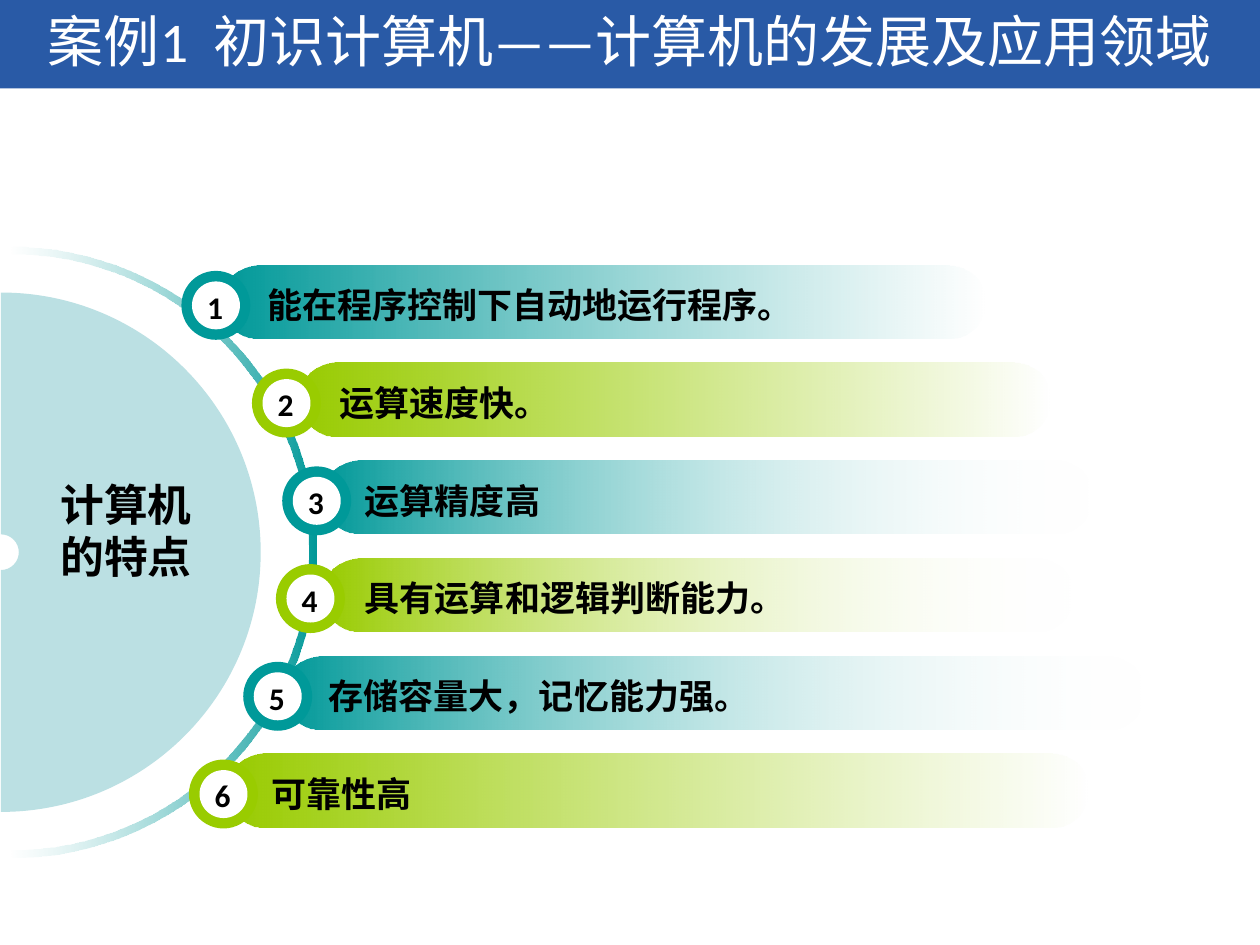
import math

from lxml import etree
from pptx import Presentation
from pptx.dml.color import RGBColor
from pptx.enum import shapes, text
from pptx.oxml import ns
from pptx.util import Pt

TEAL, LIME, WHITE, BLACK = "009999", "99CC00", "FFFFFF", "000000"
LATIN, CHINESE, SERIF = "Calibri", "Noto Sans CJK SC", "Times New Roman"
OVAL, RECTANGLE = shapes.MSO_SHAPE.OVAL, shapes.MSO_SHAPE.RECTANGLE

# statement, badge left, bar left, bar width, text left, bar end colour
FEATURES = [
    ("能在程序控制下自动地运行程序。", 103.7, 126.7, 436.3, 145.6, "46B5B5"),
    ("运算速度快。", 144, 171.4, 429.1, 187, "9CCE08"),
    ("运算精度高", 161.3, 184.3, 439.9, 201.4, WHITE),
    ("具有运算和逻辑判断能力。", 157.7, 184.3, 429.1, 201.4, WHITE),
    ("存储容量大，记忆能力强。", 139, 162, 491.8, 180.7, WHITE),
    ("可靠性高", 108, 130.3, 491.8, 148.1, "B2D83E"),
]
FIRST_TOP, ROW_PITCH, BAR_HEIGHT = 151.6, 55.85, 41.8
BADGE, BADGE_HOLE = 39.4, 27.4


def rgb(value):
    return RGBColor.from_string(value)


def add_alpha(color_element, opacity):
    etree.SubElement(color_element, ns.qn("a:alpha"), val=str(opacity * 1000))


def right_half_circle(center, radius):
    """Start point and two Bezier quarters, from the top round to the bottom."""
    handle = radius * 4 / 3 * (math.sqrt(2) - 1)
    near, far = center + handle, center + radius
    top, bottom = center - radius, center + radius
    return [(center, top), (near, top), (far, center - handle), (far, center),
            (far, near), (near, bottom), (center, bottom)]


class Deck:
    def __init__(self):
        self.presentation = Presentation()
        self.presentation.slide_width = Pt(720)
        self.presentation.slide_height = Pt(540)
        self.slide = self.presentation.slides.add_slide(
            self.presentation.slide_layouts[6])

    def paint(self, shape, color):
        shape.shadow.inherit = False
        shape.line.fill.background()
        shape.fill.solid()
        shape.fill.fore_color.rgb = rgb(color)

    def fade(self, shape, stops):
        """Fill from left to right with (position, colour, opacity) in percent."""
        shape.fill.gradient()
        shape.fill.gradient_angle = 0
        stop_list = shape._element.spPr.find(".//" + ns.qn("a:gsLst"))
        for stop in list(stop_list):
            stop_list.remove(stop)
        for position, color, opacity in stops:
            stop = etree.SubElement(stop_list, ns.qn("a:gs"), pos=str(position * 1000))
            add_alpha(etree.SubElement(stop, ns.qn("a:srgbClr"), val=color), opacity)

    def shape(self, kind, left, top, width, height, color):
        shape = self.slide.shapes.add_shape(
            kind, Pt(left), Pt(top), Pt(width), Pt(height))
        self.paint(shape, color)
        return shape

    def half_ring(self, center_x, center_y, outer, inner, color):
        """Right half of a ring, in a box as large as the whole ring."""
        left, top, size = center_x - outer, center_y - outer, 2 * outer
        builder = self.slide.shapes.build_freeform(Pt(left), Pt(top))
        builder.add_line_segments([(Pt(left + size), Pt(top)),
                                   (Pt(left + size), Pt(top + size)),
                                   (Pt(left), Pt(top + size))])
        ring = builder.convert_to_shape()
        contour = ring._element.spPr.find(".//" + ns.qn("a:path"))
        for command in list(contour):
            contour.remove(command)

        def draw(command, points=()):
            element = etree.SubElement(contour, ns.qn("a:" + command))
            for x, y in points:
                etree.SubElement(element, ns.qn("a:pt"), x=str(Pt(x)), y=str(Pt(y)))

        edges = [right_half_circle(outer, outer),
                 right_half_circle(outer, inner)[::-1]]
        for start, edge in zip(("moveTo", "lnTo"), edges):
            draw(start, edge[:1])
            draw("cubicBezTo", edge[1:4])
            draw("cubicBezTo", edge[4:])
        draw("close")
        self.paint(ring, color)
        return ring

    def label(self, left, top, width, height, runs, size, color=BLACK,
              bold=True, centered=True, wrap=False):
        """One-paragraph text box; runs are (wording, Latin font, Chinese font)."""
        box = self.slide.shapes.add_textbox(Pt(left), Pt(top), Pt(width), Pt(height))
        box.text_frame.word_wrap = wrap
        paragraph = box.text_frame.paragraphs[0]
        if centered:
            paragraph.alignment = text.PP_ALIGN.CENTER
        for wording, latin, chinese in runs:
            run = paragraph.add_run()
            run.text = wording
            run.font.size, run.font.bold = Pt(size), bold
            run.font.color.rgb = rgb(color)
            run.font.name = latin
            etree.SubElement(run.font._element, ns.qn("a:ea"), typeface=chinese)

    def feature(self, number, statement, badge_left, bar_left, bar_width,
                text_left, end_color):
        top = FIRST_TOP + (number - 1) * ROW_PITCH
        color = TEAL if number % 2 else LIME
        bar = self.shape(shapes.MSO_SHAPE.ROUNDED_RECTANGLE,
                         bar_left, top, bar_width, BAR_HEIGHT, color)
        bar.adjustments[0] = 0.5
        self.fade(bar, [(0, color, 100), (100, end_color, 0)])
        badge_top = top + 3.2
        inset = (BADGE - BADGE_HOLE) / 2
        self.shape(OVAL, badge_left, badge_top, BADGE, BADGE, color)
        self.shape(OVAL, badge_left + inset, badge_top + inset,
                   BADGE_HOLE, BADGE_HOLE, WHITE)
        self.label(badge_left + 7.5, badge_top + inset, 23, 29,
                   [(str(number), LATIN, LATIN)], 18)
        self.label(text_left, top + 6.9, len(statement) * 20 + 14.4, 31.5,
                   [(statement, CHINESE, CHINESE)], 20, centered=False)


def main():
    deck = Deck()
    deck.shape(RECTANGLE, 0, 0, 720, 50.6, "295AA6")
    panel = deck.shape(RECTANGLE, 5.8, 51.1, 708.5, 485.3, WHITE)
    add_alpha(panel._element.spPr.find(".//" + ns.qn("a:srgbClr")), 82)
    deck.label(0, 0, 720, 46,
               [("案例1  初识计算机", LATIN, LATIN), ("——", SERIF, LATIN),
                ("计算机的发展及应用领域", LATIN, LATIN)],
               32, WHITE, bold=False, wrap=True)

    middle = 315.6
    ring = deck.half_ring(6.3, middle, 174.5, 170, TEAL)
    deck.fade(ring, [(0, WHITE, 0), (100, TEAL, 100)])
    deck.half_ring(0.6, middle, 148.4, 10.2, "BBE0E3")
    deck.label(18, 269.3, 108, 67.7, [("计算机的特点", CHINESE, CHINESE)],
               25, wrap=True)

    for number, details in enumerate(FEATURES, 1):
        deck.feature(number, *details)
    deck.presentation.save("out.pptx")


if __name__ == "__main__":
    main()
